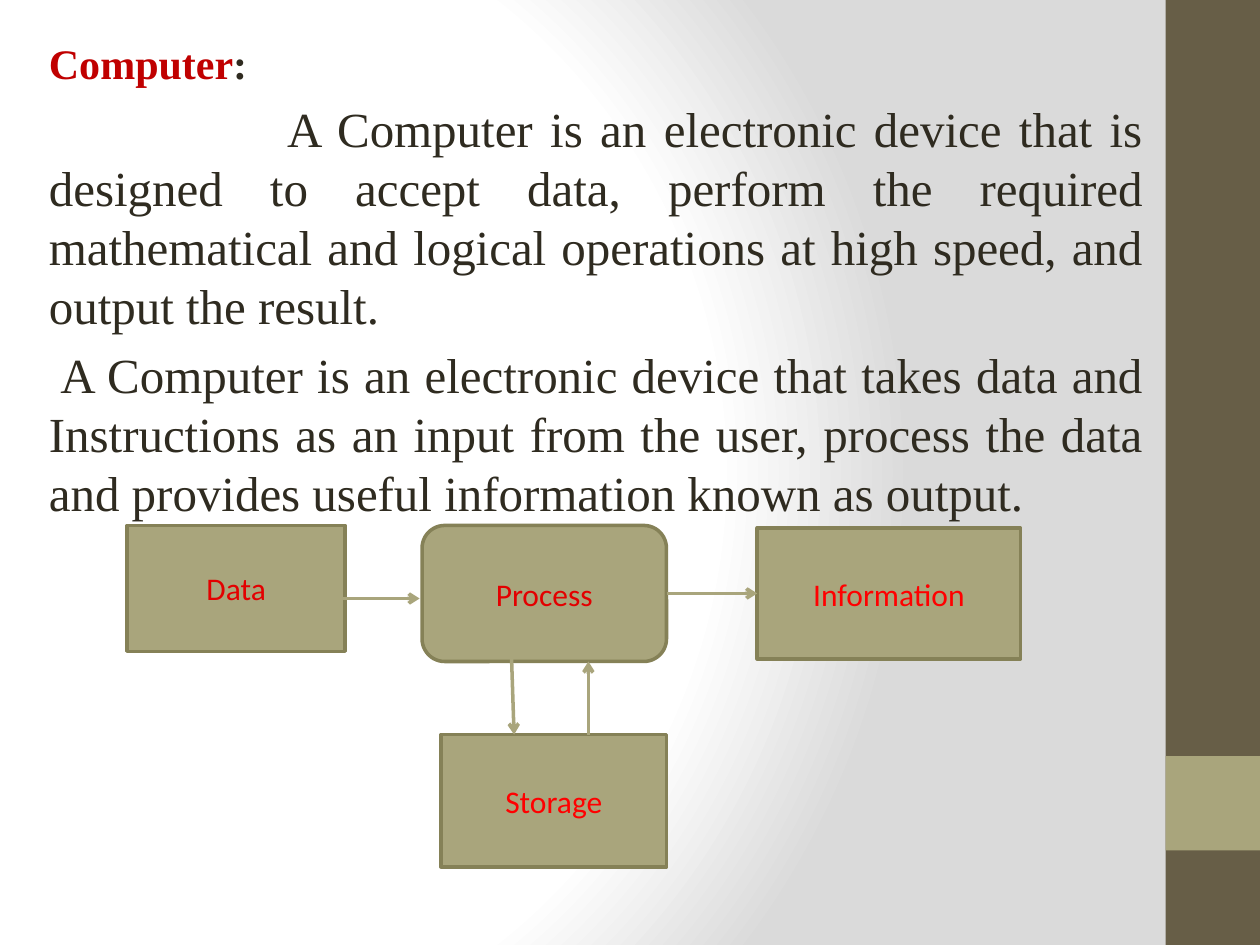
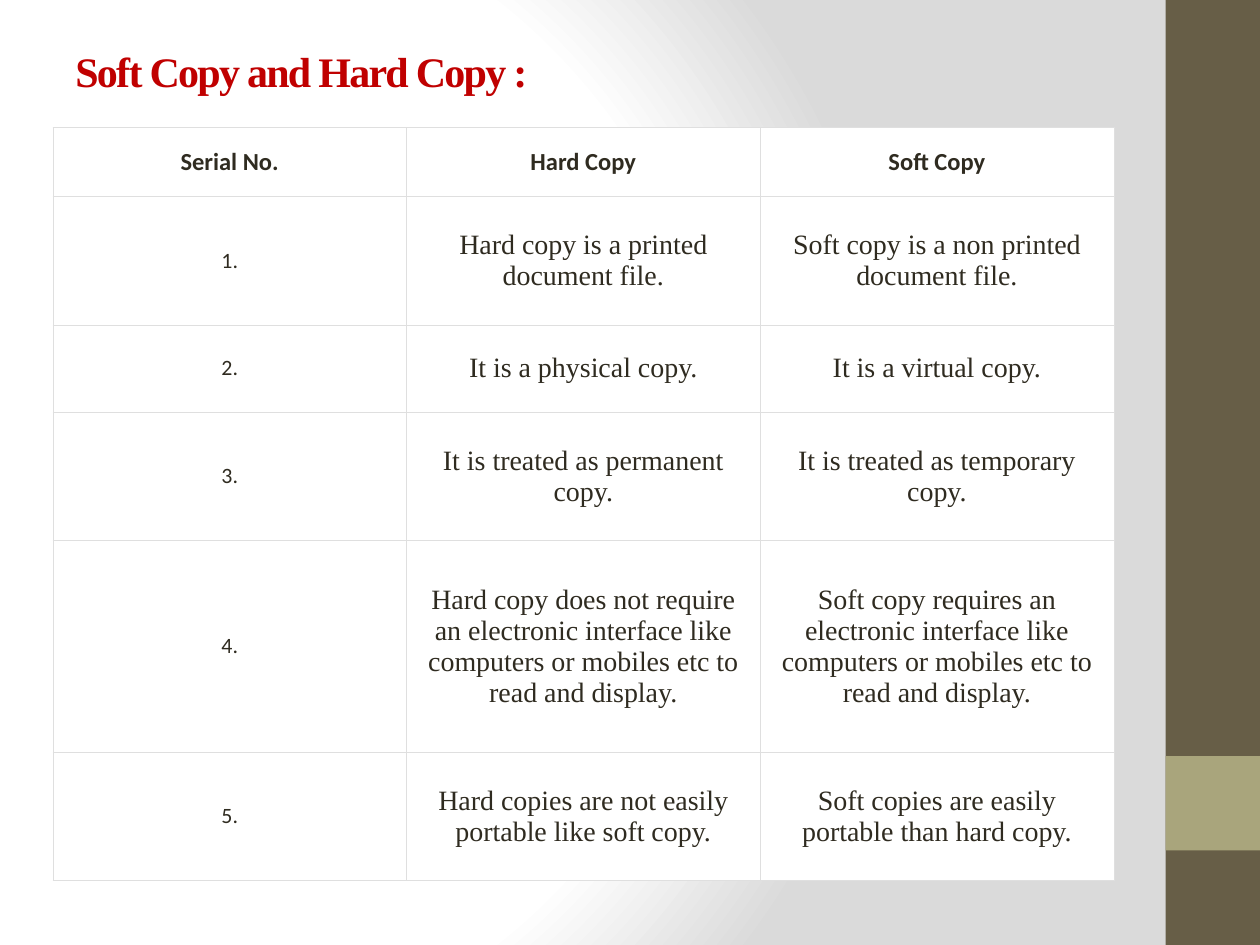
from lxml import etree
from pptx import Presentation
from pptx.dml.color import RGBColor
from pptx.enum.shapes import MSO_CONNECTOR, MSO_SHAPE
from pptx.enum.text import MSO_ANCHOR, PP_ALIGN
from pptx.oxml import parse_xml
from pptx.oxml.ns import nsdecls, qn
from pptx.util import Inches, Pt

DARK, OLIVE, OLIVE_EDGE = "675E47", "A9A57C", "858157"
INK, TITLE_RED, BRIGHT_RED, DEEP_RED = "2F2B20", "C00000", "FF0000", "E30000"
WHITE, GREY, GRID = "FFFFFF", "DADADA", "DFDFDF"
SERIF, SANS = "Times New Roman", "Calibri"

# First-line indent in inches, text
DEFINITIONS = [
    (1.89, "A Computer is an electronic device that is designed to accept data, "
           "perform the required mathematical and logical operations at high speed, "
           "and output the result."),
    (0.09, "A Computer is an electronic device that takes data and Instructions as "
           "an input from the user, process the data and provides useful "
           "information known as output."),
]
# Label: preset, (left, top, width, height), text colour
STAGES = {
    "Data": (MSO_SHAPE.RECTANGLE, (1.01, 4.17, 1.73, 1), DEEP_RED),
    "Process": (MSO_SHAPE.ROUNDED_RECTANGLE, (3.35, 4.17, 1.94, 1.08), DEEP_RED),
    "Information": (MSO_SHAPE.RECTANGLE, (6.01, 4.19, 2.09, 1.04), BRIGHT_RED),
    "Storage": (MSO_SHAPE.RECTANGLE, (3.5, 5.83, 1.79, 1.05), BRIGHT_RED),
}
LOOSE_ARROWS = [(2.67, 4.75, 3.33, 4.75), (4.06, 5.22, 4.08, 5.83), (4.67, 5.83, 4.67, 5.25)]

COPY_TITLE = "Soft Copy and Hard Copy :"
HEADINGS = ("Serial No.", "Hard Copy", "Soft Copy")
DIFFERENCES = [
    ("Hard copy is a printed document file.", "Soft copy is a non printed document file."),
    ("It is a physical copy.", "It is a virtual copy."),
    ("It is treated as permanent copy.", "It is treated as temporary copy."),
    ("Hard copy does not require an electronic interface like computers or mobiles "
     "etc to read and display.",
     "Soft copy requires an electronic interface like computers or mobiles "
     "etc to read and display."),
    ("Hard copies are not easily portable like soft copy.",
     "Soft copies are easily portable than hard copy."),
]
ROW_HEIGHTS = (0.55, 1.02, 0.69, 1.02, 1.68, 1.02)
TABLE_BOX = (0.42, 1.01, 8.42, sum(ROW_HEIGHTS))


def rgb(color):
    return RGBColor.from_string(color)


def inches(values):
    return [Inches(v) for v in values]


def set_font(font, name, size, color, bold=False):
    font.name, font.size, font.bold = name, Pt(size), bold
    font.color.rgb = rgb(color)


def add_block(s, preset, box, fill, edge=None):
    sp = s.shapes.add_shape(preset, *inches(box))
    sp.shadow.inherit = False
    sp.fill.solid()
    sp.fill.fore_color.rgb = rgb(fill)
    if edge:
        sp.line.color.rgb = rgb(edge)
        sp.line.width = Pt(2)
    else:
        sp.line.fill.background()
    return sp


def add_text_box(s, box, anchor=MSO_ANCHOR.TOP):
    tf = s.shapes.add_textbox(*inches(box)).text_frame
    tf.word_wrap = True
    tf.vertical_anchor = anchor
    return tf


def add_arrow(s, x1, y1, x2, y2):
    line = s.shapes.add_connector(MSO_CONNECTOR.STRAIGHT, *inches((x1, y1, x2, y2)))
    line.line.color.rgb = rgb(OLIVE)
    line.line.width = Pt(2)
    etree.SubElement(line.line._get_or_add_ln(), qn("a:tailEnd"), type="arrow")
    etree.SubElement(line._element.spPr, qn("a:effectLst"))
    return line


def add_themed_slide(prs):
    """Blank slide with the radial background and the right-hand band."""
    s = prs.slides.add_slide(prs.slide_layouts[6])
    stops = "".join(f'<a:gs pos="{pos}000"><a:srgbClr val="{color}"/></a:gs>'
                    for pos, color in ((0, WHITE), (75, WHITE), (100, GREY)))
    s._element.cSld.insert(0, parse_xml(
        f'<p:bg {nsdecls("p", "a")}><p:bgPr><a:gradFill rotWithShape="1">'
        f'<a:gsLst>{stops}</a:gsLst><a:path path="circle">'
        '<a:fillToRect l="20000" t="50000" r="100000" b="50000"/></a:path>'
        '</a:gradFill><a:effectLst/></p:bgPr></p:bg>'))
    add_block(s, MSO_SHAPE.RECTANGLE, (9.25, 0, 0.75, 7.5), DARK)
    add_block(s, MSO_SHAPE.RECTANGLE, (9.25, 6, 0.75, 0.75), OLIVE)
    return s


def set_indent(p, first_line):
    pPr = p._p.get_or_add_pPr()
    pPr.set("marL", str(Inches(0.12)))
    pPr.set("indent", str(Inches(first_line)))


def build_computer_slide(prs):
    s = add_themed_slide(prs)
    tf = add_text_box(s, (0.17, 0.25, 9, 3.9))
    p = tf.paragraphs[0]
    set_indent(p, 0)
    for text, color in (("Computer", TITLE_RED), (":", INK)):
        r = p.add_run()
        r.text = text
        set_font(r.font, SERIF, 24, color, bold=True)
    for first_line, text in DEFINITIONS:
        p = tf.add_paragraph()
        p.text = text
        set_indent(p, first_line)
        p.alignment = PP_ALIGN.JUSTIFY
        p.space_before = Pt(6)
        set_font(p.font, SERIF, 28, INK)

    blocks = {}
    for label, (preset, box, color) in STAGES.items():
        sp = blocks[label] = add_block(s, preset, box, OLIVE, OLIVE_EDGE)
        sp.text_frame.vertical_anchor = MSO_ANCHOR.MIDDLE
        p = sp.text_frame.paragraphs[0]
        p.text = label
        p.alignment = PP_ALIGN.CENTER
        set_font(p.font, SANS, 18, color)
    for ends in LOOSE_ARROWS:
        add_arrow(s, *ends)
    to_information = add_arrow(s, 5.29, 4.71, 6.01, 4.71)
    to_information.begin_connect(blocks["Process"], 3)
    to_information.end_connect(blocks["Information"], 1)


def set_borders(cell):
    tcPr = cell._tc.get_or_add_tcPr()
    for i, side in enumerate(("lnL", "lnR", "lnT", "lnB")):
        tcPr.insert(i, parse_xml(
            f'<a:{side} {nsdecls("a")} w="{Pt(0.23)}"><a:solidFill>'
            f'<a:srgbClr val="{GRID}"/></a:solidFill></a:{side}>'))


def fill_cell(cell, text, margin, font):
    cell.fill.solid()
    cell.fill.fore_color.rgb = rgb(WHITE)
    cell.vertical_anchor = MSO_ANCHOR.MIDDLE
    cell.margin_left = cell.margin_right = Inches(0.1)
    cell.margin_top = cell.margin_bottom = Inches(margin)
    p = cell.text_frame.paragraphs[0]
    p.text = text
    p.alignment = PP_ALIGN.CENTER
    set_font(p.font, *font)
    set_borders(cell)


def build_copy_slide(prs):
    s = add_themed_slide(prs)
    p = add_text_box(s, (0.5, 0.3, 8.33, 0.52), MSO_ANCHOR.MIDDLE).paragraphs[0]
    r = p.add_run()
    r.text = COPY_TITLE
    set_font(r.font, SERIF, 24, TITLE_RED, bold=True)
    r.font._element.set("spc", "-100")

    rows = [HEADINGS] + [(f"{n}.", *pair) for n, pair in enumerate(DIFFERENCES, 1)]
    table = s.shapes.add_table(len(rows), len(HEADINGS), *inches(TABLE_BOX)).table
    table.first_row = table.horz_banding = False
    for row, height in zip(table.rows, ROW_HEIGHTS):
        row.height = Inches(height)
    for i, texts in enumerate(rows):
        for j, text in enumerate(texts):
            if i == 0:
                margin, font = 0.1, (SANS, 14, INK, True)
            else:
                margin = 0.15
                font = (SANS, 12.5, INK) if j == 0 else (SERIF, 16, INK)
            fill_cell(table.cell(i, j), text, margin, font)


def main():
    prs = Presentation()
    prs.slide_width, prs.slide_height = Inches(10), Inches(7.5)
    build_computer_slide(prs)
    build_copy_slide(prs)
    prs.save("out.pptx")


if __name__ == "__main__":
    main()
